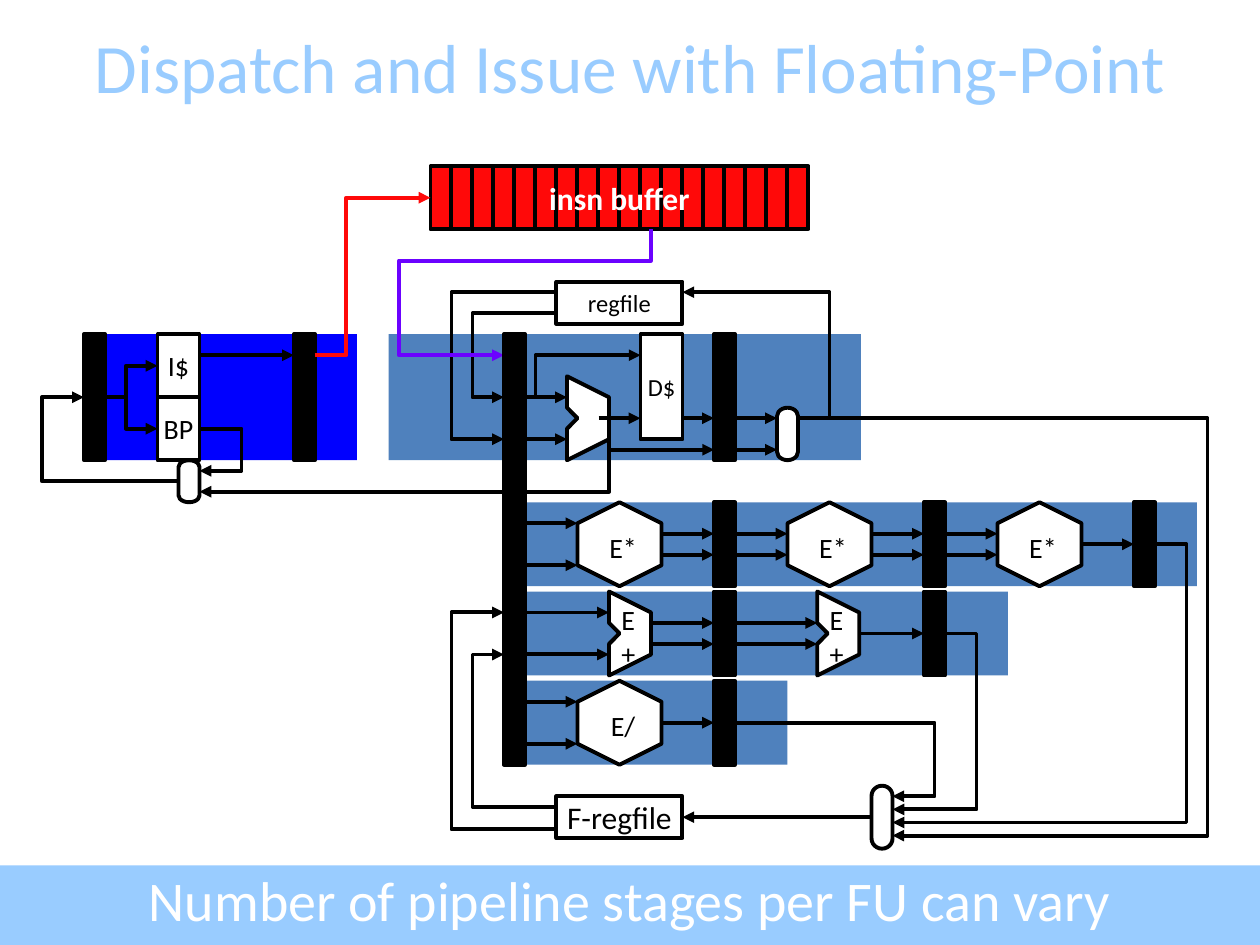
from dataclasses import dataclass

from lxml import etree
from pptx import Presentation
from pptx.dml.color import RGBColor
from pptx.enum import shapes, text
from pptx.oxml import ns
from pptx.util import Pt


@dataclass(frozen=True)
class Theme:
    font: str = "Calibri"
    sky: str = "99CCFF"
    fetch: str = "0000FF"
    stage: str = "4F81BD"
    red: str = "FF0909"
    purple: str = "6B02FF"
    black: str = "000000"
    white: str = "FFFFFF"
    line: float = 2.25
    title: float = 39.6
    banner: float = 32
    large: float = 18
    unit: float = 16
    small: float = 14


T = Theme()
RECT = shapes.MSO_SHAPE.RECTANGLE
CAPSULE = shapes.MSO_SHAPE.FLOWCHART_TERMINATOR


def rgb(color):
    return RGBColor.from_string(color)


def write(shape, lines, size, color=T.black, bold=False, inset=(0, 0, 0, 0)):
    """Centre lines in a shape; inset is left, top, right, bottom."""
    tf = shape.text_frame
    tf.word_wrap = True
    tf.vertical_anchor = text.MSO_ANCHOR.MIDDLE
    tf.margin_left, tf.margin_top, tf.margin_right, tf.margin_bottom = map(Pt, inset)
    for i, line in enumerate(lines):
        p = tf.add_paragraph() if i else tf.paragraphs[0]
        p.alignment = text.PP_ALIGN.CENTER
        r = p.add_run()
        r.text = line
        r.font.name, r.font.size, r.font.bold = T.font, Pt(size), bold
        r.font.color.rgb = rgb(color)


class Region:
    """Draws parts in points, relative to the corner of a box."""

    def __init__(self, s, box):
        self.s = s
        self.x, self.y, self.w, self.h = box

    def rect(self, x, y, w, h, fill=T.white, outline=True, kind=RECT):
        sp = self.s.shapes.add_shape(
            kind, Pt(self.x + x), Pt(self.y + y), Pt(w), Pt(h))
        return self.paint(sp, fill, outline)

    def background(self, fill):
        return self.rect(0, 0, self.w, self.h, fill, outline=False)

    def register(self, x):
        return self.rect(x, 0, 12, self.h, T.black)

    def capsule(self, x, y, w, h):
        sp = self.rect(x + (w - h) / 2, y + (h - w) / 2, h, w, kind=CAPSULE)
        sp.rotation = 90

    def label(self, lines, size, color, bold=False):
        sp = self.s.shapes.add_textbox(
            Pt(self.x), Pt(self.y), Pt(self.w), Pt(self.h))
        write(sp, lines, size, color, bold)

    def paint(self, sp, fill, outline=True):
        sp.shadow.inherit = False
        sp.fill.solid()
        sp.fill.fore_color.rgb = rgb(fill)
        if outline:
            sp.line.color.rgb, sp.line.width = rgb(T.black), Pt(T.line)
        else:
            sp.line.fill.background()
        return sp

    def outline(self, points, close):
        points = [(Pt(self.x + x), Pt(self.y + y)) for x, y in points]
        fb = self.s.shapes.build_freeform(*points[0])
        fb.add_line_segments(points[1:], close=close)
        return fb.convert_to_shape()

    def hexagon(self, x, y, name):
        points = [(24, 0), (48, 12), (48, 36), (24, 48), (0, 36), (0, 12)]
        sp = self.paint(self.outline([(x + a, y + b) for a, b in points], True), T.white)
        write(sp, name, T.unit, inset=(4, 3, 0, 0))

    def alu(self, x, y, name=()):
        points = [(0, 0), (0, 18), (6, 24), (0, 30), (0, 48), (24, 36), (24, 12)]
        sp = self.paint(self.outline([(x + a, y + b) for a, b in points], True), T.white)
        write(sp, name, T.unit, inset=(0, 3, 2, 0))

    def wire(self, *points, color=T.black, arrow=True, start=None, end=None):
        """Join points; start and end are (shape, side) for straight wires."""
        if len(points) == 2:
            ends = [Pt(v) for x, y in points for v in (self.x + x, self.y + y)]
            sp = self.s.shapes.add_connector(shapes.MSO_CONNECTOR.STRAIGHT, *ends)
            if start:
                sp.begin_connect(*start)
            if end:
                sp.end_connect(*end)
        else:
            sp = self.outline(points, False)
            sp.fill.background()
        sp.line.color.rgb, sp.line.width = rgb(color), Pt(T.line)
        if arrow:
            etree.SubElement(sp.line._get_or_add_ln(), ns.qn("a:tailEnd"), type="triangle")
        etree.SubElement(sp._element.spPr, ns.qn("a:effectLst"))


def heading(s, box):
    Region(s, box).label(["Dispatch and Issue with Floating-Point"], T.title, T.sky)


def banner(s, box):
    sp = Region(s, box).background(T.sky)
    write(sp, ["Number of pipeline stages per FU can vary"], T.banner, T.white,
          inset=(0, 0, 0, 7))


def fetch(s, box):
    g = Region(s, box)
    g.background(T.fetch)
    pc = g.register(-12)
    for i, name in enumerate(["I$", "BP"]):
        write(g.rect(30, 36 * i, 24, 36), [name], T.unit)
        g.wire((12, 42), (12, 18 + 36 * i), (30, 18 + 36 * i))
    g.wire((0, 36), (12, 36), arrow=False, start=(pc, 3))
    g.wire((54, 12), (108, 12))
    g.register(108)
    # Next-address selection
    g.capsule(42, 72, 12, 24)
    g.wire((54, 54), (78, 54), (78, 78), (54, 78))
    g.wire((42, 84), (-36, 84), (-36, 36), (-12, 36))


def integer(s, box):
    g = Region(s, box)
    g.background(T.stage)
    write(g.rect(96, -30, 72, 24), ["regfile"], T.small)
    g.alu(102, 24)
    write(g.rect(144, 0, 24, 60), ["D$"], T.small)
    g.register(186)
    g.capsule(222, 42, 12, 30)
    for x1, x2, y in [(78, 102, 36), (78, 102, 60), (120, 144, 48),
                      (168, 186, 48), (198, 222, 48), (198, 222, 66)]:
        g.wire((x1, y), (x2, y))
    # Bypasses, register reads, write-back and branch redirect
    g.wire((84, 36), (84, 12), (144, 12))
    g.wire((126, 48), (126, 66), (186, 66))
    for x, top, y in [(48, -12, 36), (36, -24, 60)]:
        g.wire((96, top), (x, top), (x, y), (66, y))
    g.wire((234, 48), (252, 48), (252, -24), (168, -24))
    g.wire((126, 48), (126, 90), (-108, 90))


def insn_buffer(s, box, slots=18):
    g = Region(s, box)
    width = g.w / slots
    for i in range(slots):
        g.rect(i * width, 0, width, g.h, T.red)
    g.wire((-66, 108), (-48, 108), (-48, 18), (0, 18), color=T.red)
    g.wire((126, 36), (126, 54), (-18, 54), (-18, 108), (42, 108), color=T.purple)
    g.label(["insn buffer"], T.large, T.white, bold=True)


def fp_regfile(s, box):
    g = Region(s, box)
    regfile = g.rect(0, 0, g.w, g.h)
    write(regfile, ["F-regfile"], T.large)
    for x, y, top in [(-48, 6, -81), (-60, 19, -105)]:
        g.wire((0, y), (x, y), (x, top), (-30, top))
    return regfile


def fp_pipeline(s, box, unit, unit_width, name, offsets):
    """A chain of units, each followed by a pipeline register."""
    g = Region(s, box)
    g.background(T.stage)
    for i, x in enumerate(offsets):
        left, last = 120 * i, i == len(offsets) - 1
        unit(g, x, 0, name)
        reg = g.register(left + 108)
        for y in (18, 30) if i else (12, 36):
            g.wire((left, y), (x, y))
        for y in (24,) if last else (18, 30):
            g.wire((x + unit_width, y), (left + 108, y), end=(reg, 1) if last else None)


def fp_writeback(s, box, regfile):
    g = Region(s, box)
    g.capsule(0, 0, g.w, g.h)
    g.wire((0, 18), (-108, 18), end=(regfile, 3))
    sources = [(-78, -36, 36), (42, -87, 60), (162, -138, 180), (-30, -210, 192)]
    for i, (x, y, turn) in enumerate(sources):
        y2 = 6 + 7.5 * i
        g.wire((x, y), (turn, y), (turn, y2), (g.w, y2))


def main():
    prs = Presentation()
    prs.slide_width, prs.slide_height = Pt(720), Pt(540)
    s = prs.slides.add_slide(prs.slide_layouts[6])
    banner(s, (0, 494.6, 720, 45.4))
    heading(s, (0, 15, 720, 45))
    integer(s, (222, 191, 270, 72))
    fetch(s, (60, 191, 144, 72))
    insn_buffer(s, (246, 95, 216, 36))
    regfile = fp_regfile(s, (318, 455, 72, 24))
    # Floating-point divide, add and multiply
    fp_pipeline(s, (300, 389, 150, 48), Region.hexagon, 48, ["E/"], [30])
    fp_pipeline(s, (300, 338, 276, 48), Region.alu, 24, ["E", "+"], [48, 167])
    fp_pipeline(s, (300, 287, 384, 48), Region.hexagon, 48, ["E*"], [30, 150, 270])
    # Issue register shared by all pipelines
    Region(s, (288, 191, 12, 246)).register(0)
    fp_writeback(s, (498, 449, 12, 36), regfile)
    prs.save("out.pptx")


if __name__ == "__main__":
    main()
